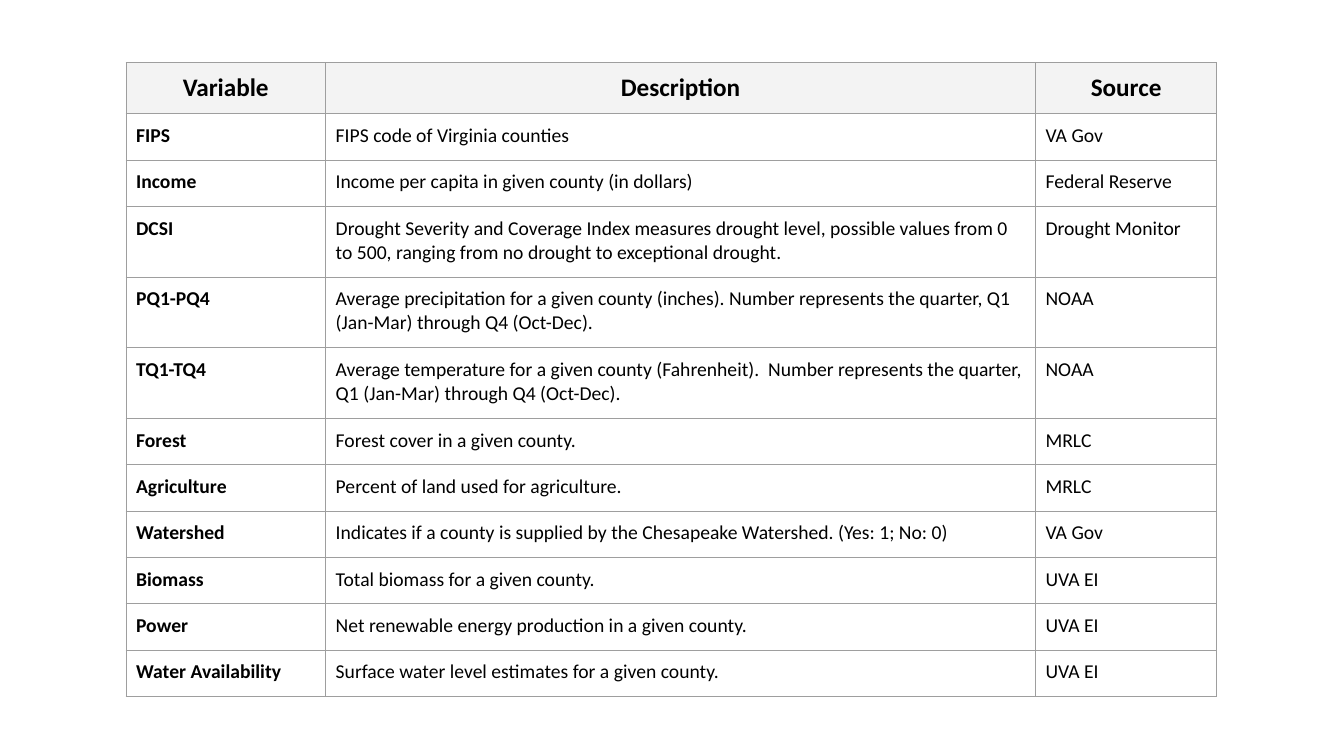
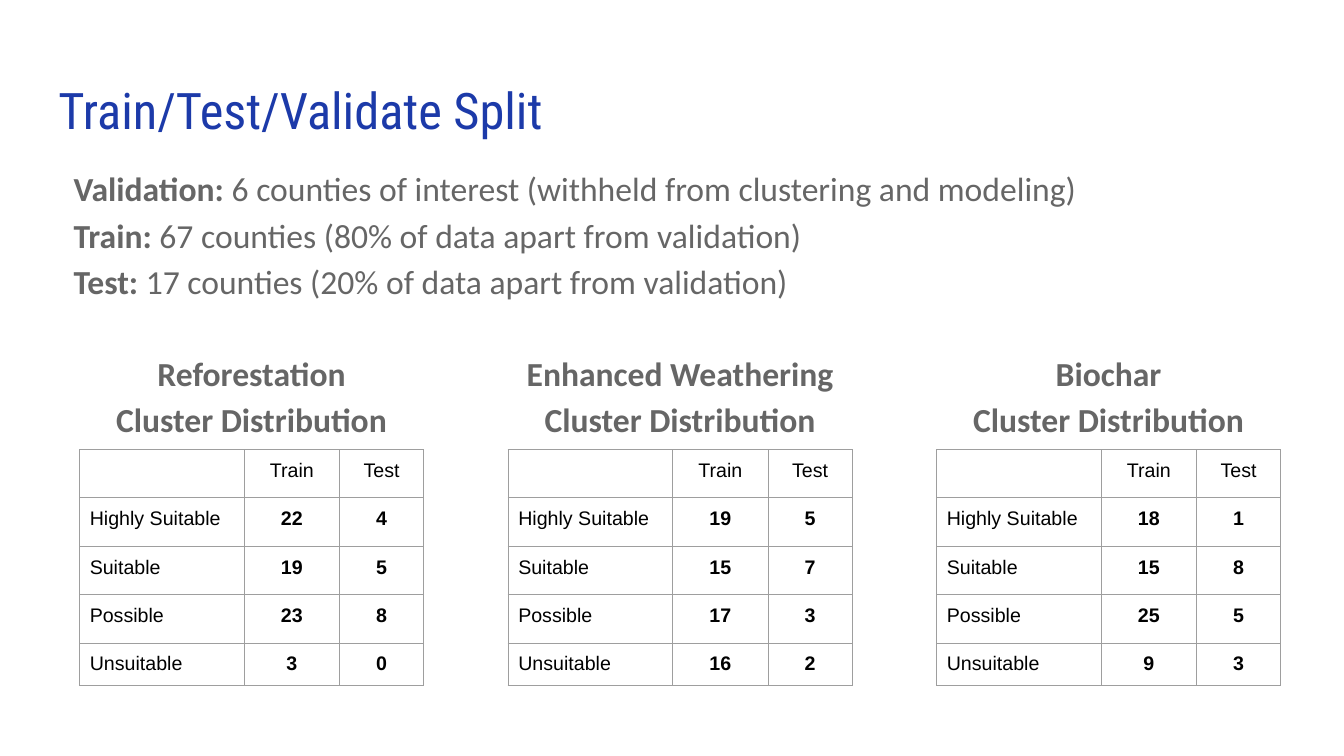
from lxml.etree import SubElement
from pptx import Presentation
from pptx.dml.color import RGBColor
from pptx.enum.text import MSO_ANCHOR as Anchor, MSO_AUTO_SIZE as AutoSize, PP_ALIGN as Align
from pptx.oxml.ns import qn
from pptx.util import Inches, Pt

SLIDE_W, SLIDE_H = 13.33, 7.5
BLACK, GRAY, BLUE, RULE, HEADER = "000000", "666666", "1C3AA9", "9E9E9E", "F3F3F3"
TITLE_FONT, BODY_FONT, NUMBER_FONT = "Roboto Condensed", "Calibri", "Arial"
INSET, CELL_INSET = 0.13, 0.1
SIDE_MARGIN = 0.45

VARIABLES = [
    ("Variable", "Description", "Source"),
    ("FIPS", "FIPS code of Virginia counties", "VA Gov"),
    ("Income", "Income per capita in given county (in dollars)", "Federal Reserve"),
    ("DCSI", "Drought Severity and Coverage Index measures drought level, possible values "
     "from 0 to 500, ranging from no drought to exceptional drought.", "Drought Monitor"),
    ("PQ1-PQ4", "Average precipitation for a given county (inches). Number represents the "
     "quarter, Q1 (Jan-Mar) through Q4 (Oct-Dec).", "NOAA"),
    ("TQ1-TQ4", "Average temperature for a given county (Fahrenheit).  Number represents the "
     "quarter, Q1 (Jan-Mar) through Q4 (Oct-Dec).", "NOAA"),
    ("Forest", "Forest cover in a given county.", "MRLC"),
    ("Agriculture", "Percent of land used for agriculture.", "MRLC"),
    ("Watershed", "Indicates if a county is supplied by the Chesapeake Watershed. "
     "(Yes: 1; No: 0)", "VA Gov"),
    ("Biomass", "Total biomass for a given county.", "UVA EI"),
    ("Power", "Net renewable energy production in a given county.", "UVA EI"),
    ("Water Availability", "Surface water level estimates for a given county.", "UVA EI"),
]
SPLITS = [
    ("Validation: ", "6 counties of interest (withheld from clustering and modeling)"),
    ("Train: ", "67 counties (80% of data apart from validation)"),
    ("Test: ", "17 counties (20% of data apart from validation)"),
]
SUITABILITY = ["Highly Suitable", "Suitable", "Possible", "Unsuitable"]
CLUSTERS = {
    "Reforestation": [(22, 4), (19, 5), (23, 8), (3, 0)],
    "Enhanced Weathering": [(19, 5), (15, 7), (17, 3), (16, 2)],
    "Biochar": [(18, 1), (15, 8), (25, 5), (9, 3)],
}


def color(hex_code):
    return RGBColor.from_string(hex_code)


def style(paragraph, font, size, ink, bold=None, align=Align.LEFT, spacing=None):
    paragraph.alignment = align
    paragraph.line_spacing = spacing
    paragraph.font.name = font
    paragraph.font.size = Pt(size)
    paragraph.font.color.rgb = color(ink)
    paragraph.font.bold = bold


def set_frame(frame, inset=INSET):
    frame.word_wrap = True
    frame.auto_size = AutoSize.NONE
    frame.vertical_anchor = Anchor.TOP
    frame.margin_left = frame.margin_right = Inches(inset)
    frame.margin_top = frame.margin_bottom = Inches(inset)


def add_title(slide, text):
    title = slide.shapes.title
    title.left, title.top = Inches(SIDE_MARGIN), Inches(0.65)
    title.width, title.height = Inches(12.42), Inches(0.83)
    set_frame(title.text_frame)
    title.text_frame.text = text
    style(title.text_frame.paragraphs[0], TITLE_FONT, 36, BLUE)


def add_body(slide, left, top, width, height, lines, align=Align.LEFT):
    """Place lines, each a pair of bold text and plain text."""
    body = slide.shapes.add_textbox(Inches(left), Inches(top), Inches(width), Inches(height))
    frame = body.text_frame
    set_frame(frame)
    for index, (lead, rest) in enumerate(lines):
        paragraph = frame.add_paragraph() if index else frame.paragraphs[0]
        style(paragraph, BODY_FONT, 24, GRAY, align=align, spacing=1.15)
        for text, bold in ((lead, True), (rest, False)):
            if text:
                run = paragraph.add_run()
                run.text = text
                run.font.bold = bold


def rule_cell(cell):
    for edge in ("a:lnL", "a:lnR", "a:lnT", "a:lnB"):
        line = SubElement(cell._tc.get_or_add_tcPr(), qn(edge), w=str(Pt(0.75)))
        SubElement(SubElement(line, qn("a:solidFill")), qn("a:srgbClr"), val=RULE)


def add_grid(slide, left, top, widths, heights, rows, cell_style):
    """Place a ruled table; cell_style(row, column) gives the fill and the text style."""
    table = slide.shapes.add_table(
        len(rows), len(widths), Inches(left), Inches(top),
        Inches(sum(widths)), Inches(sum(heights))).table
    table.first_row = table.horz_banding = False
    for column, width in zip(table.columns, widths):
        column.width = Inches(width)
    for r, (values, height) in enumerate(zip(rows, heights)):
        table.rows[r].height = Inches(height)
        for c, value in enumerate(values):
            cell = table.cell(r, c)
            fill, text_style = cell_style(r, c)
            cell.margin_left = cell.margin_right = Inches(CELL_INSET)
            cell.margin_top = cell.margin_bottom = Inches(CELL_INSET)
            rule_cell(cell)
            if fill:
                cell.fill.solid()
                cell.fill.fore_color.rgb = color(fill)
            else:
                cell.fill.background()
            paragraph = cell.text_frame.paragraphs[0]
            if value != "":
                paragraph.text = str(value)
            style(paragraph, ink=BLACK, **text_style)
            if value == "":
                SubElement(paragraph._p, qn("a:endParaRPr"), sz=str(text_style["size"] * 100))


def variable_style(row, column):
    if row == 0:
        return HEADER, dict(font=BODY_FONT, size=18, bold=True, align=Align.CENTER)
    return None, dict(font=BODY_FONT, size=14, bold=column == 0)


def cluster_style(row, column):
    return None, dict(font=NUMBER_FONT, size=14, bold=row > 0 and column > 0,
                      align=Align.CENTER if column else Align.LEFT)


def add_cluster(slide, left, top, width, name, counts):
    add_body(slide, left, top, width, 1.15,
             [(name, ""), ("Cluster Distribution", "")], Align.CENTER)
    rows = [("", "Train", "Test")]
    rows += [(label, *pair) for label, pair in zip(SUITABILITY, counts)]
    add_grid(slide, left + 0.34, top + 1.15, [1.63, 0.95, 0.83], [0.48] * 4 + [0.42],
             rows, cluster_style)


def build_variables(slide):
    two_lines = 100
    heights = [0.51] + [0.7 if len(description) > two_lines else 0.46
                        for _, description, _ in VARIABLES[1:]]
    add_grid(slide, 1.25, 0.62, [1.98, 7.04, 1.8], heights, VARIABLES, variable_style)


def build_split(slide):
    add_title(slide, "Train/Test/Validate Split")
    add_body(slide, 0.6, 1.48, 11.82, 1.76, SPLITS)
    pitch, width = 4.25, 4.09
    for index, (name, counts) in enumerate(CLUSTERS.items()):
        add_cluster(slide, SIDE_MARGIN + index * pitch, 3.31, width, name, counts)


def main():
    deck = Presentation()
    deck.slide_width, deck.slide_height = Inches(SLIDE_W), Inches(SLIDE_H)
    title_only, blank = deck.slide_layouts[5], deck.slide_layouts[6]
    build_variables(deck.slides.add_slide(blank))
    build_split(deck.slides.add_slide(title_only))
    deck.save("out.pptx")


if __name__ == "__main__":
    main()
